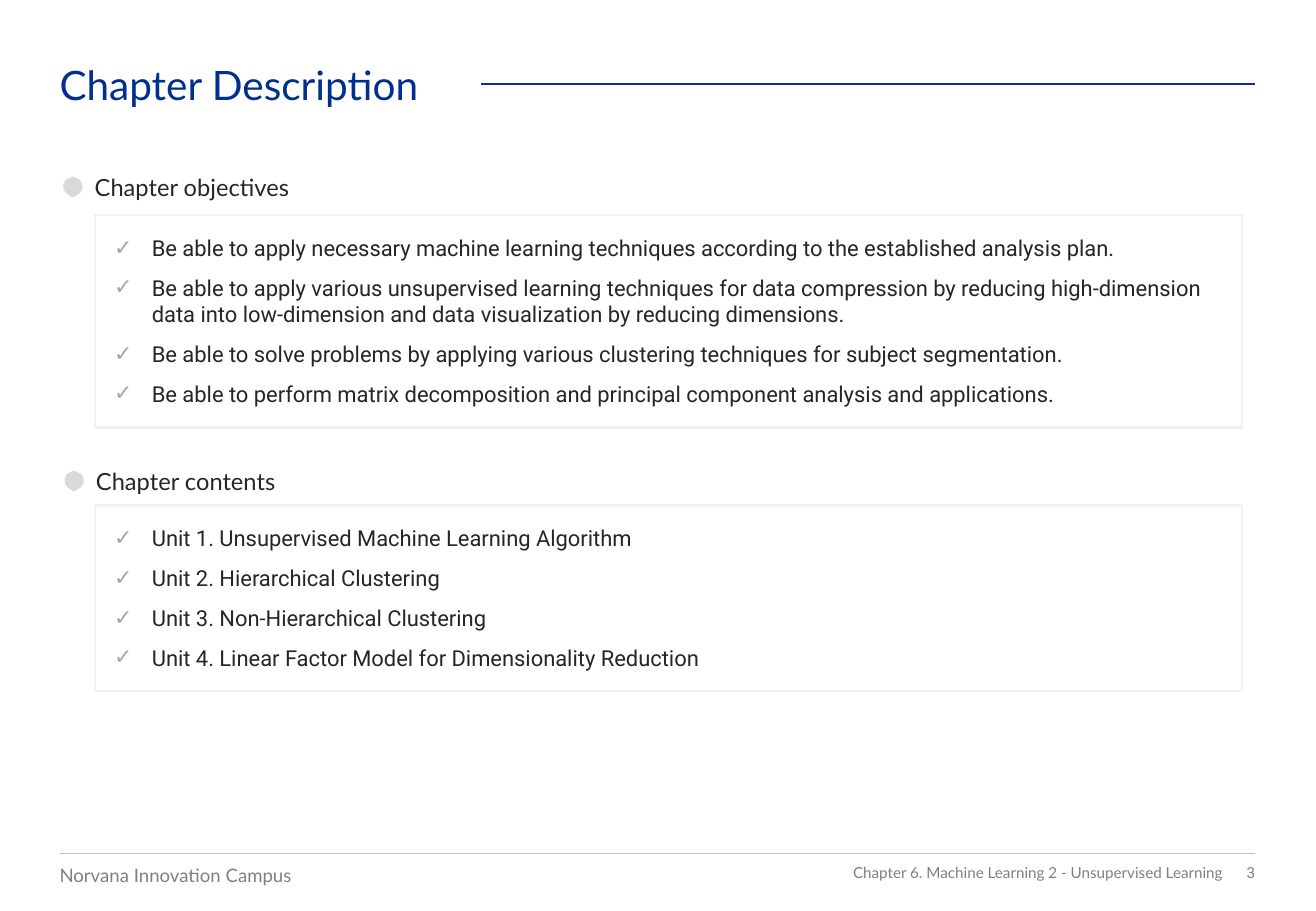
from lxml import etree
from pptx import Presentation
from pptx.dml.color import RGBColor
from pptx.enum import shapes, text
from pptx.oxml.ns import qn
from pptx.util import Inches, Pt

COLORS = {
    "title": "002F8E", "title_rule": "1428A0", "body": "262626",
    "check": "A5A5A5", "frame": "F2F2F2", "hexagon": "D9D9D9",
    "white": "FFFFFF", "footer": "808080", "footer_rule": "BFBFBF",
}
LEFT, RIGHT = 0.49, 10.33
FRAME_LEFT, FRAME_WIDTH = 0.78, 9.44

# Hexagon outline with softened corners, in hundredths of an inch
HEXAGON = [(0, 9), (3, 4), (9, 1), (12, 0), (15, 1), (21, 4), (24, 9),
           (24, 16), (21, 21), (15, 25), (12, 26), (9, 25), (3, 21), (0, 16)]

OBJECTIVES = [
    "Be able to apply necessary machine learning techniques according to the established analysis plan.",
    "Be able to apply various unsupervised learning techniques for data compression by reducing "
    "high-dimension data into low-dimension and data visualization by reducing dimensions.",
    "Be able to solve problems by applying various clustering techniques for subject segmentation.",
    "Be able to perform matrix decomposition and principal component analysis and applications.",
]
CONTENTS = [
    "Unit 1. Unsupervised Machine Learning Algorithm",
    "Unit 2. Hierarchical Clustering",
    "Unit 3. Non-Hierarchical Clustering",
    "Unit 4. Linear Factor Model for Dimensionality Reduction",
]


def rgb(name):
    return RGBColor.from_string(COLORS[name])


def place(sp, left, top, width, height):
    sp.left, sp.top = Inches(left), Inches(top)
    sp.width, sp.height = Inches(width), Inches(height)


def set_frame(tf, inset=0, anchor=text.MSO_ANCHOR.TOP):
    tf.word_wrap = True
    tf.auto_size = text.MSO_AUTO_SIZE.NONE
    tf.vertical_anchor = anchor
    tf.margin_left = tf.margin_right = Inches(inset)
    tf.margin_top = tf.margin_bottom = Inches(inset)


def add_run(p, words, size, font, color):
    r = p.add_run()
    r.text = words
    r.font.size, r.font.name = Pt(size), font
    r.font.color.rgb = rgb(color)


def add_label(s, box, words, size, font, color,
              align=text.PP_ALIGN.LEFT, anchor=text.MSO_ANCHOR.TOP):
    sp = s.shapes.add_textbox(*map(Inches, box))
    set_frame(sp.text_frame, anchor=anchor)
    p = sp.text_frame.paragraphs[0]
    p.alignment = align
    add_run(p, words, size, font, color)


def add_rule(s, left, y, color, width):
    line = s.shapes.add_connector(shapes.MSO_CONNECTOR.STRAIGHT,
                                  Inches(left), Inches(y), Inches(RIGHT), Inches(y))
    line.line.color.rgb = rgb(color)
    line.line.width = Pt(width)
    etree.SubElement(line._element.spPr, qn("a:effectLst"))


def add_title(s, words):
    sp = s.shapes.title
    place(sp, LEFT, 0.49, 3.4, 0.4)
    set_frame(sp.text_frame)
    p = sp.text_frame.paragraphs[0]
    p.alignment = text.PP_ALIGN.LEFT
    add_run(p, words, 24, "Lato", "title")


def add_heading(s, left, top, words):
    points = [(left * 100 + x, top * 100 + y) for x, y in HEXAGON]
    builder = s.shapes.build_freeform(*points[0], scale=Inches(0.01))
    builder.add_line_segments(points[1:], close=True)
    sp = builder.convert_to_shape()
    sp.shadow.inherit = False
    sp.fill.solid()
    sp.fill.fore_color.rgb = rgb("hexagon")
    sp.line.color.rgb = rgb("white")
    sp.line.width = Pt(6)
    add_label(s, (left + 0.3, top + 0.01, FRAME_WIDTH, 0.24), words, 14, "Lato", "body")


def add_check(p):
    pPr = p._p.get_or_add_pPr()
    pPr.set("marL", str(Inches(0.31)))
    pPr.set("indent", str(-Inches(0.31)))
    color = etree.SubElement(pPr, qn("a:buClr"))
    etree.SubElement(color, qn("a:srgbClr"), val=COLORS["check"])
    etree.SubElement(pPr, qn("a:buChar"), char="✓")


def add_checklist(sp, top, height, items):
    place(sp, FRAME_LEFT, top, FRAME_WIDTH, height)
    sp.line.color.rgb = rgb("frame")
    sp.line.width = Pt(1.5)
    tf = sp.text_frame
    set_frame(tf, inset=0.16)
    for i, item in enumerate(items):
        p = tf.add_paragraph() if i else tf.paragraphs[0]
        add_check(p)
        p.space_before, p.space_after = Pt(0), Pt(8)
        add_run(p, item, 13, "Roboto", "body")


def add_footer(s):
    add_rule(s, LEFT, 7.03, "footer_rule", 0.5)
    add_label(s, (LEFT, 7.11, 3.16, 0.19), "Norvana Innovation Campus", 11, "Lato", "footer")
    right = {"align": text.PP_ALIGN.RIGHT, "anchor": text.MSO_ANCHOR.MIDDLE}
    add_label(s, (5.18, 7.11, 4.88, 0.15),
              "Chapter 6. Machine Learning 2 - Unsupervised Learning", 9, "Lato", "footer", **right)
    add_label(s, (9.66, 7.11, 0.67, 0.15), "3", 9, "Roboto", "footer", **right)


def main():
    prs = Presentation()
    prs.slide_width, prs.slide_height = Inches(10.83), Inches(7.5)
    s = prs.slides.add_slide(prs.slide_layouts.get_by_name("Two Content"))

    # Title with rule
    add_title(s, "Chapter Description")
    add_rule(s, 3.96, 0.69, "title_rule", 1)

    # Objectives and contents
    add_heading(s, 0.48, 1.41, "Chapter objectives")
    add_checklist(s.placeholders[1], 1.77, 1.75, OBJECTIVES)
    add_heading(s, 0.49, 3.83, "Chapter contents")
    add_checklist(s.placeholders[2], 4.16, 1.53, CONTENTS)

    # Footer
    add_footer(s)
    prs.save("out.pptx")


if __name__ == "__main__":
    main()
